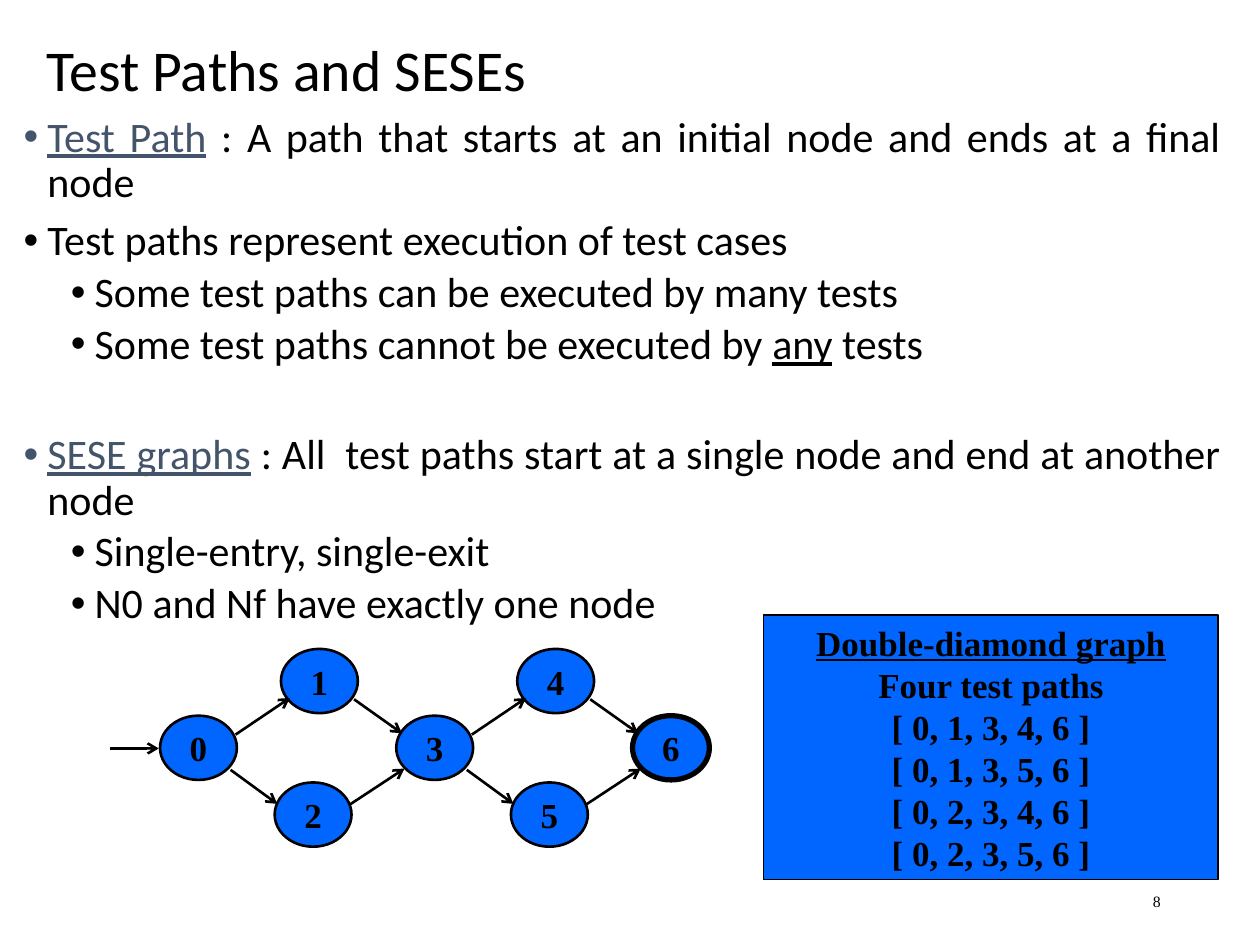
"""Build the slide on test paths and single-entry, single-exit graphs."""
from lxml.etree import SubElement
from pptx import Presentation
from pptx.dml.color import RGBColor
from pptx.enum.shapes import MSO_CONNECTOR, MSO_SHAPE
from pptx.enum.text import MSO_ANCHOR, PP_ALIGN
from pptx.oxml.ns import qn
from pptx.util import Inches, Pt

BLACK = RGBColor(0x00, 0x00, 0x00)
BLUE = RGBColor(0x00, 0x66, 0xFF)
SLATE = RGBColor(0x44, 0x54, 0x6A)
SANS, SERIF = "Calibri", "Times New Roman"

deck = Presentation()
deck.slide_width, deck.slide_height = Inches(10), Inches(7.5)
slide = deck.slides.add_slide(deck.slide_layouts[6])
shapes = slide.shapes
CELL = deck.slide_width / 100


def grid(*cells):
    return [round(cell * CELL) for cell in cells]


def write(frame, text, size=24, face=SANS, bold=False, tint=BLACK, align=PP_ALIGN.LEFT,
          lead=0.9, gap=0, level=None):
    para = frame.add_paragraph() if frame.text else frame.paragraphs[0]
    para.alignment, para.line_spacing, para.space_before = align, lead, Pt(gap)
    if level is not None:
        para.level = level
        props = para._p.get_or_add_pPr()
        left, hang = grid(1.88 + 3.75 * level, -1.88)
        props.set("marL", str(left))
        props.set("indent", str(hang))
        color = SubElement(props, qn("a:buClr"))
        SubElement(color, qn("a:srgbClr"), val=str(tint))
        SubElement(props, qn("a:buFont"), typeface="Arial")
        SubElement(props, qn("a:buChar"), char="•")
    for order, part in enumerate(text.split("_")):
        if part:
            run = para.add_run()
            run.text = part
            font = run.font
            font.name, font.size, font.bold = face, Pt(size), bold
            font.underline = order % 2 == 1
            font.color.rgb = tint if font.underline else BLACK


title = shapes.add_textbox(*grid(2.7, -1.5, 86.3, 14.5)).text_frame
body = shapes.add_textbox(*grid(0.9, 8.7, 97, 57.9)).text_frame
page = shapes.add_textbox(*grid(70.6, 69.5, 22.5, 4)).text_frame
for frame in (title, body, page):
    frame.word_wrap = True
for frame in (title, page):
    frame.vertical_anchor = MSO_ANCHOR.MIDDLE
write(title, "Test Paths and SESEs", size=33)
write(page, "8", size=9, face=SERIF, align=PP_ALIGN.RIGHT, lead=1)

points = [
    (0, 0, SLATE, "_Test Path_ : A path that starts at an initial node and ends at a final node"),
    (0, 7.5, BLACK, "Test paths represent execution of test cases"),
    (1, 3.7, BLACK, "Some test paths can be executed by many tests"),
    (1, 3.7, BLACK, "Some test paths cannot be executed by _any_ tests"),
    (0, 37, SLATE, "_SESE graphs_ : All  test paths start at a single node and end at another node"),
    (1, 3.7, BLACK, "Single-entry, single-exit"),
    (1, 3.7, BLACK, "N0 and Nf have exactly one node"),
]
for level, gap, tint, text in points:
    write(body, text, tint=tint, gap=gap, level=level, align=PP_ALIGN.JUSTIFY)

LEFT, TOP, PITCH, STEP = 12.7, 51.5, 18.75, 5.3
OFFSET = {0: 9.6, 1: 0, 2: 9.1}
nodes = [(0, 0, 1), (1, 0, 0), (2, 0, 2), (3, 1, 1), (4, 1, 0), (5, 1, 2), (6, 2, 1)]
for name, span, row in nodes:
    shift = OFFSET[row]
    node = shapes.add_shape(
        MSO_SHAPE.OVAL, *grid(LEFT + span * PITCH + shift, TOP + row * STEP, 6.1, 5.1))
    node.shadow.inherit = False
    node.fill.solid()
    node.fill.fore_color.rgb = BLUE
    node.line.color.rgb = BLACK
    node.line.width = Pt(3 if name == 6 else 1.5)
    frame = node.text_frame
    frame.margin_left = frame.margin_right = frame.margin_top = frame.margin_bottom = 0
    frame.word_wrap = False
    frame.vertical_anchor = MSO_ANCHOR.MIDDLE
    write(frame, str(name), size=20, face=SERIF, bold=True, align=PP_ALIGN.CENTER, lead=1)

diamond = [(6, 58.3, 10.3, 55.4), (5.6, 61.1, 9.3, 63.8),
           (15.4, 55.5, 19.2, 58.2), (15, 63.9, 19.4, 61)]
edges = [(8.7, 59.4, 12.6, 59.4)]
for span in range(2):
    base = LEFT + span * PITCH
    edges += [(base + x, y, base + right, low) for x, y, right, low in diamond]
for edge in edges:
    arrow = shapes.add_connector(MSO_CONNECTOR.STRAIGHT, *grid(*edge))
    arrow.line.color.rgb = BLACK
    arrow.line.width = Pt(1.5)
    SubElement(arrow.line._get_or_add_ln(), qn("a:tailEnd"), type="arrow")
    SubElement(arrow._element.spPr, qn("a:effectLst"))

panel = shapes.add_shape(MSO_SHAPE.RECTANGLE, *grid(60.6, 48.8, 36.1, 21))
panel.shadow.inherit = False
panel.fill.solid()
panel.fill.fore_color.rgb = BLUE
panel.line.color.rgb = BLACK
panel.line.width = Pt(1)
panel.text_frame.vertical_anchor = MSO_ANCHOR.TOP
panel.text_frame.word_wrap = True
paths = [f"[ 0, {first}, 3, {last}, 6 ]" for first in (1, 2) for last in (4, 5)]
for text in ["_Double-diamond graph_", "Four test paths", *paths]:
    write(panel.text_frame, text, size=20, face=SERIF, bold=True,
          align=PP_ALIGN.CENTER, lead=Pt(24))

deck.save("out.pptx")
